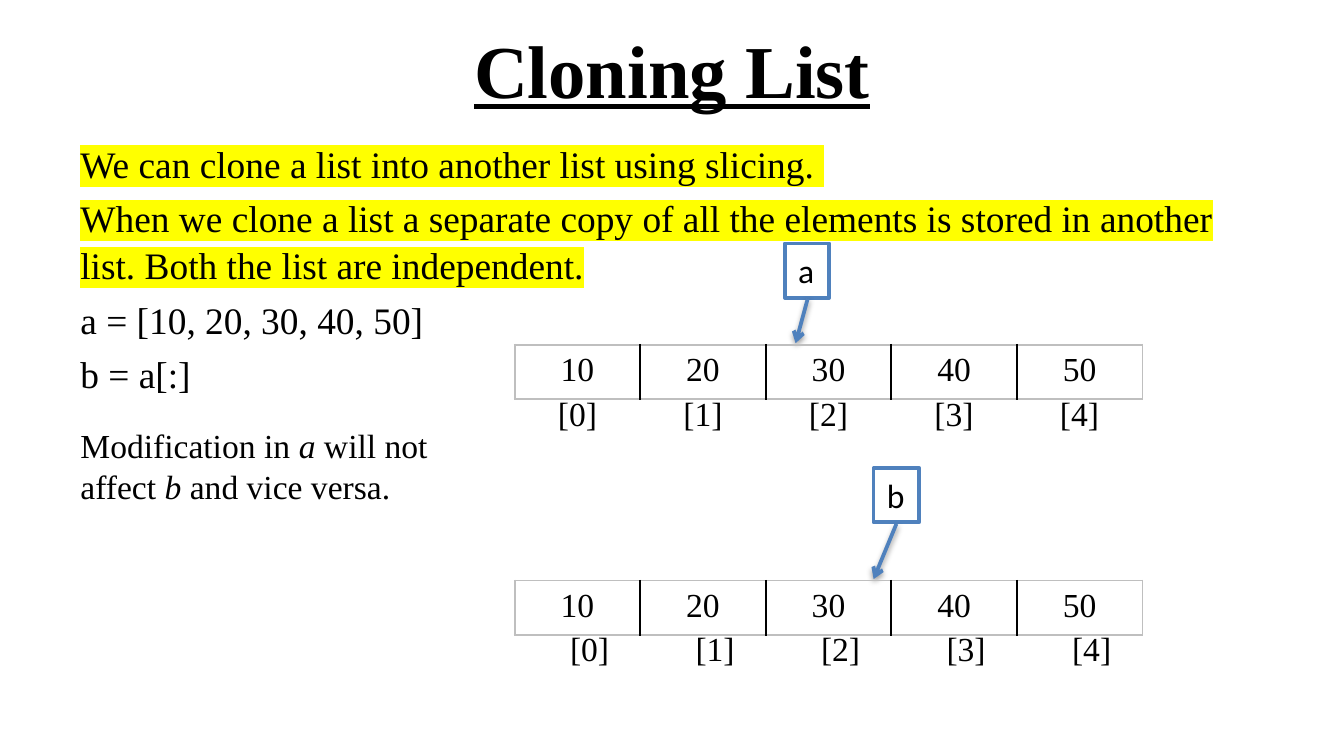
from lxml.etree import SubElement
from pptx import Presentation
from pptx.dml.color import RGBColor
from pptx.enum.shapes import MSO_CONNECTOR, MSO_SHAPE
from pptx.enum.text import MSO_ANCHOR, MSO_AUTO_SIZE, PP_ALIGN
from pptx.oxml import parse_xml
from pptx.oxml.ns import nsdecls, qn
from pptx.util import Inches, Pt

BLACK, WHITE, BLUE = "000000", "FFFFFF", "4F81BD"
GREY, YELLOW = "BFBFBF", "FFFF00"
SERIF, SANS = "Times New Roman", "Calibri"


def rgb(code):
    return RGBColor.from_string(code)


class Deck:
    """Style and current slide; lengths are percentages of the slide's size."""

    def __init__(self, width, height):
        self.prs = Presentation()
        self.prs.slide_width, self.prs.slide_height = Inches(width), Inches(height)
        self.s = self.prs.slides.add_slide(self.prs.slide_layouts[6])

    def x(self, share):
        return round(self.prs.slide_width * share / 100)

    def y(self, share):
        return round(self.prs.slide_height * share / 100)

    def box(self, left, top, width, height):
        return self.x(left), self.y(top), self.x(width), self.y(height)

    def run(self, p, text, highlight=None, **fmt):
        r = p.add_run()
        r.text = text
        style = {"name": SERIF, "size": Pt(18)} | fmt
        for key, value in style.items():
            setattr(r.font, key, value)
        r.font.color.rgb = rgb(BLACK)
        if highlight:
            fill = r.font.fill._xPr.find(qn("a:solidFill"))
            fill.addnext(parse_xml(
                f'<a:highlight {nsdecls("a")}><a:srgbClr val="{highlight}"/></a:highlight>'))

    def text(self, at, paragraphs, anchor=MSO_ANCHOR.TOP, **para):
        """Each paragraph is a list of (text, format) runs."""
        tf = self.s.shapes.add_textbox(*self.box(*at)).text_frame
        tf.word_wrap, tf.vertical_anchor = True, anchor
        for i, runs in enumerate(paragraphs):
            p = tf.paragraphs[0] if i == 0 else tf.add_paragraph()
            for key, value in para.items():
                if i or key != "space_before":
                    setattr(p, key, value)
            for words, fmt in runs:
                self.run(p, words, **fmt)

    def label(self, at, name):
        sp = self.s.shapes.add_shape(MSO_SHAPE.RECTANGLE, *self.box(*at))
        sp.shadow.inherit = False
        sp.fill.solid()
        sp.fill.fore_color.rgb = rgb(WHITE)
        sp.line.color.rgb, sp.line.width = rgb(BLUE), Pt(2)
        tf = sp.text_frame
        tf.word_wrap, tf.auto_size = False, MSO_AUTO_SIZE.SHAPE_TO_FIT_TEXT
        tf.vertical_anchor = MSO_ANCHOR.TOP
        p = tf.paragraphs[0]
        p.alignment = PP_ALIGN.LEFT
        self.run(p, name, name=SANS)

    def arrow(self, x1, y1, x2, y2):
        c = self.s.shapes.add_connector(
            MSO_CONNECTOR.STRAIGHT, self.x(x1), self.y(y1), self.x(x2), self.y(y2))
        c.line.color.rgb, c.line.width = rgb(BLUE), Pt(2)
        SubElement(c.line._get_or_add_ln(), qn("a:tailEnd"), type="arrow")
        c._element.spPr.append(parse_xml(
            f'<a:effectLst {nsdecls("a")}><a:outerShdw blurRad="{Pt(3.1)}" dist="{Pt(1.6)}" '
            'dir="5400000" rotWithShape="0"><a:srgbClr val="000000"><a:alpha val="38000"/>'
            '</a:srgbClr></a:outerShdw></a:effectLst>'))

    def border(self, cell, side, color):
        ln = parse_xml(f'<a:ln{side} {nsdecls("a")} w="{Pt(1)}"/>')
        if color:
            fill = SubElement(ln, qn("a:solidFill"))
            SubElement(fill, qn("a:srgbClr"), val=color)
        else:
            SubElement(ln, qn("a:noFill"))
        cell._tc.get_or_add_tcPr().append(ln)

    def row(self, at, values, bordered=False):
        table = self.s.shapes.add_table(1, len(values), *self.box(*at)).table
        table.first_row = table.horz_banding = False
        last = len(values) - 1
        for i, value in enumerate(values):
            cell = table.cell(0, i)
            # Grey outer frame, black dividers
            colors = {"L": BLACK if i else GREY, "R": BLACK if i < last else GREY,
                      "T": GREY, "B": GREY}
            for side, color in colors.items():
                self.border(cell, side, color if bordered else None)
            cell.fill.background()
            p = cell.text_frame.paragraphs[0]
            p.alignment = PP_ALIGN.CENTER
            self.run(p, value)


def main():
    deck = Deck(10, 5.625)

    # Title
    deck.text((5, 0.7, 90, 16.7),
              [[("Cloning List", {"size": Pt(40), "bold": True, "underline": True})]],
              anchor=MSO_ANCHOR.MIDDLE, alignment=PP_ALIGN.CENTER)

    # Explanation and code
    code = {"size": Pt(20)}
    marked = code | {"highlight": YELLOW}
    deck.text((5, 17.5, 90, 69.7), [
        [("We can clone a list into another list using slicing. ", marked)],
        [("When we clone a list a separate copy of all the elements is stored in "
          "another list. Both the list are independent.", marked)],
        [("a = [10, 20, 30, 40, 50]", code)],
        [("b = a[:]", code)],
    ], space_before=Pt(4), line_spacing=1.05)

    # Names pointing at their lists
    deck.label((58.4, 32.2, 3.3, 7.2), "a")
    deck.arrow(60.1, 39.5, 59.2, 45.4)
    deck.label((65, 61.9, 3.4, 7.2), "b")
    deck.arrow(66.7, 69.3, 65, 76.6)

    # Lists with their indexes below
    values = [str(n) for n in range(10, 60, 10)]
    indexes = [f"[{i}]" for i in range(len(values))]
    width, height = 46.7, 7.2
    for top, index_left, index_top in ((45.6, 38.3, 51.5), (76.8, 39.2, 82.7)):
        deck.row((38.3, top, width, height), values, bordered=True)
        deck.row((index_left, index_top, width, height), indexes)

    # Remark
    italic = {"italic": True}
    deck.text((5, 55.4, 29.2, 12.6), [[
        ("Modification in ", {}), ("a", italic), (" will not affect ", {}),
        ("b", italic), (" and vice versa.", {})]])

    deck.prs.save("out.pptx")


if __name__ == "__main__":
    main()
